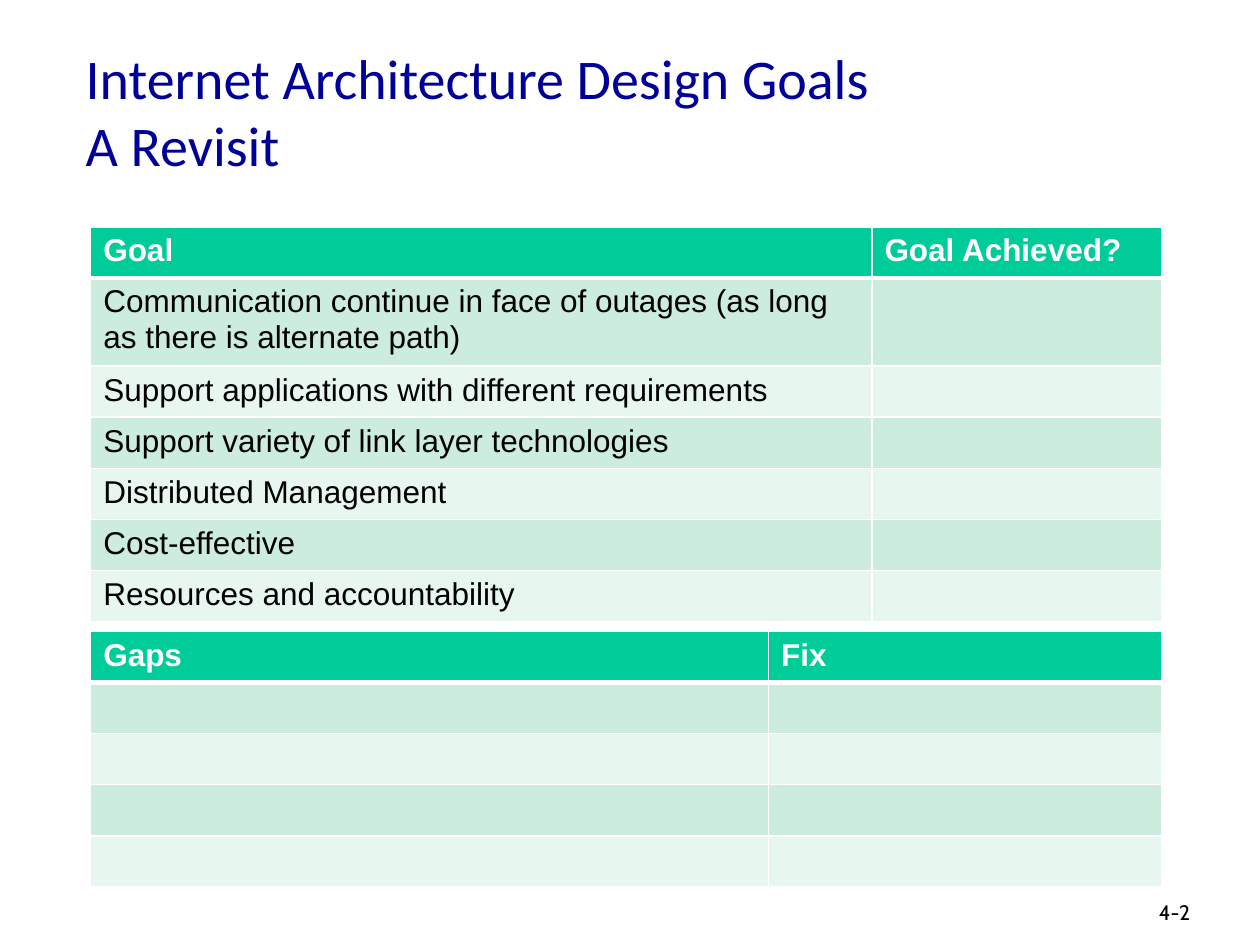
from dataclasses import dataclass

from lxml import etree
from pptx import Presentation
from pptx.dml.color import RGBColor
from pptx.enum.text import MSO_ANCHOR, PP_ALIGN
from pptx.oxml.ns import qn
from pptx.util import Inches, Pt

LEFT = PP_ALIGN.LEFT
MIDDLE = MSO_ANCHOR.MIDDLE
TITLE_ONLY = 5
COLORS = {
    "title": "000099",
    "text": "000000",
    "white": "FFFFFF",
    "header": "00CC99",
    "odd": "CCECDE",
    "even": "E7F6EF",
}
TITLE_FONT = {"name": "Calibri", "size": Pt(32), "bold": False}
NUMBER_FONT = {"name": "Cabin", "size": Pt(12), "bold": False}
HEADER_FONT = {"name": "Arial", "size": Pt(18), "bold": True}
BODY_FONT = {"name": "Arial", "size": Pt(18), "bold": False}


@dataclass
class Grid:
    top: float
    height: float
    widths: tuple[float, float]
    header: tuple[str, str]
    items: list[str]


GRIDS = [
    Grid(1.8, 2.84, (6.2, 2.3), ("Goal", "Goal Achieved?"), [
        "Communication continue in face of outages (as long as there is alternate path)",
        "Support applications with different requirements",
        "Support variety of link layer technologies",
        "Distributed Management",
        "Cost-effective",
        "Resources and accountability",
    ]),
    Grid(5.01, 2.03, (5.38, 3.12), ("Gaps", "Fix"), [""] * 4),
]


def format_font(font, values: dict, color: str) -> None:
    for name, value in values.items():
        setattr(font, name, value)
    font.color.rgb = RGBColor.from_string(COLORS[color])


def add_borders(cell, bottom: int) -> None:
    tcPr = cell._tc.get_or_add_tcPr()
    for side, width in (("lnL", 1), ("lnR", 1), ("lnT", 1), ("lnB", bottom)):
        ln = etree.SubElement(tcPr, qn(f"a:{side}"), w=str(Pt(width)))
        fill = etree.SubElement(ln, qn("a:solidFill"))
        etree.SubElement(fill, qn("a:srgbClr"), val=COLORS["white"])


def write_cell(cell, text: str, row: int) -> None:
    is_header = row == 0
    add_borders(cell, 3 if is_header else 1)
    fill = "header" if is_header else "odd" if row % 2 else "even"
    cell.fill.solid()
    cell.fill.fore_color.rgb = RGBColor.from_string(COLORS[fill])
    p = cell.text_frame.paragraphs[0]
    font, color = (HEADER_FONT, "white") if is_header else (BODY_FONT, "text")
    format_font(p.font, font, color)
    if text:
        r = p.add_run()
        r.text = text
        format_font(r.font, font, color)


def add_grid(s, grid: Grid) -> None:
    rows = [grid.header] + [(item, "") for item in grid.items]
    table = s.shapes.add_table(
        len(rows), len(grid.widths), Inches(0.72), Inches(grid.top),
        Inches(sum(grid.widths)), Inches(grid.height)).table
    for column, width in zip(table.columns, grid.widths):
        column.width = Inches(width)
    for i, texts in enumerate(rows):
        for j, text in enumerate(texts):
            write_cell(table.cell(i, j), text, i)


def add_title(s, text: str) -> None:
    sp = s.shapes.title
    sp.left, sp.top, sp.width, sp.height = map(Inches, (0.58, 0.25, 8.5, 1.25))
    tf = sp.text_frame
    tf.vertical_anchor = MIDDLE
    tf.text = text
    p = tf.paragraphs[0]
    p.alignment = LEFT
    for r in p.runs:
        format_font(r.font, TITLE_FONT, "title")


def add_number(s, text: str) -> None:
    sp = s.shapes.add_textbox(*map(Inches, (9.1, 7.09, 0.74, 0.3)))
    tf = sp.text_frame
    tf.word_wrap = True
    r = tf.paragraphs[0].add_run()
    r.text = text
    format_font(r.font, NUMBER_FONT, "text")


prs = Presentation()
prs.slide_width, prs.slide_height = Inches(10), Inches(7.5)
s = prs.slides.add_slide(prs.slide_layouts[TITLE_ONLY])
add_title(s, "Internet Architecture Design Goals\vA Revisit")
add_number(s, "4-2")
for grid in GRIDS:
    add_grid(s, grid)
prs.save("out.pptx")
